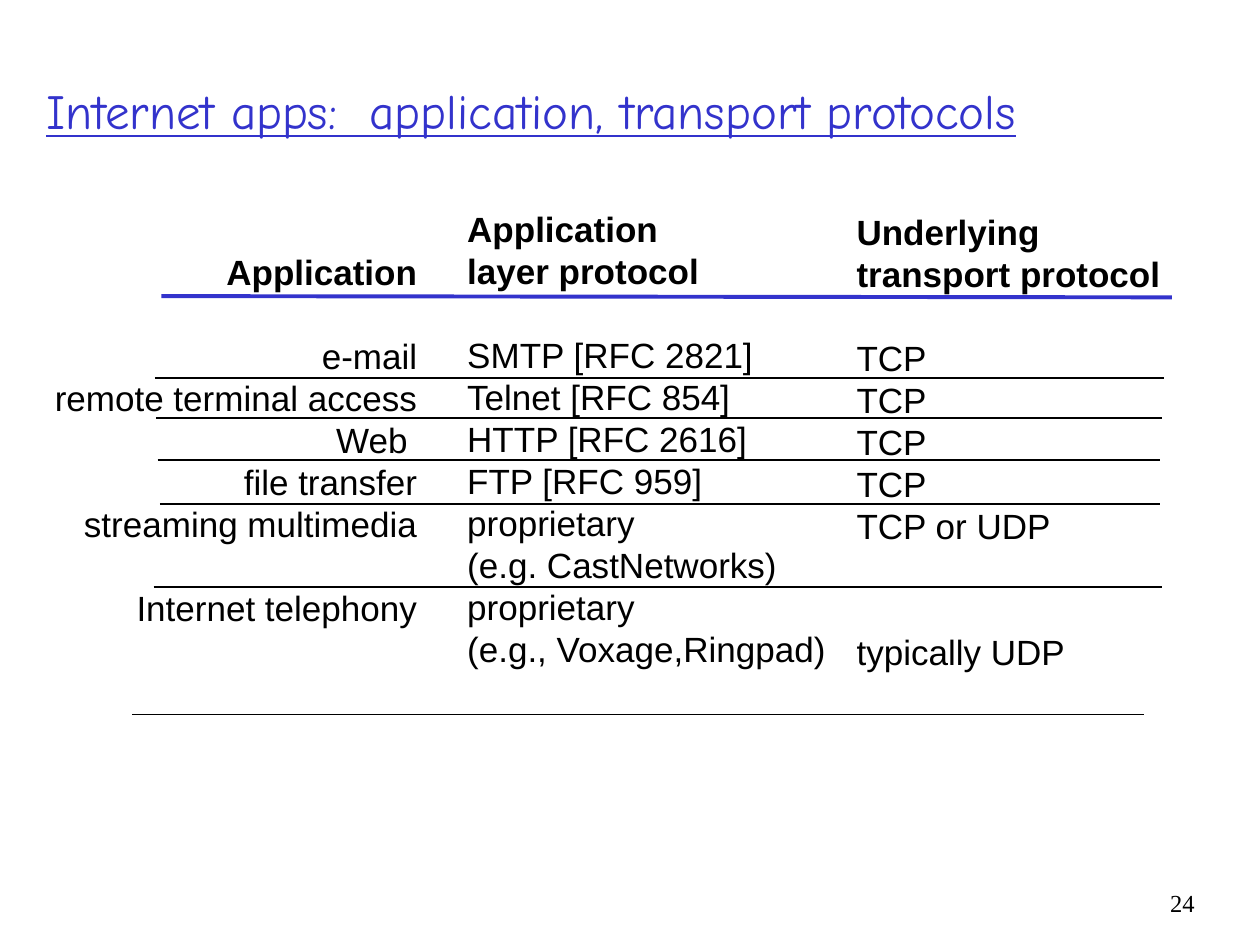
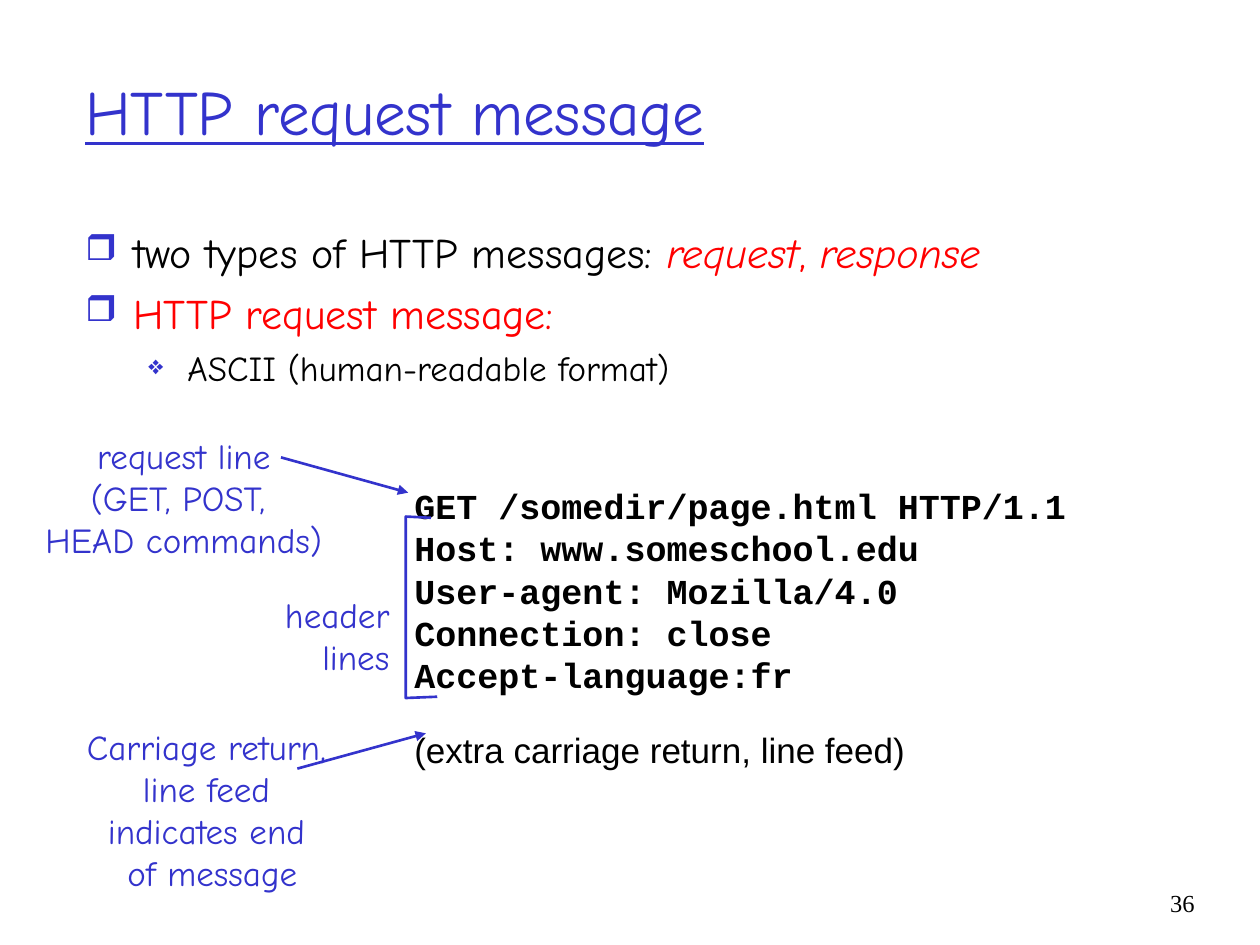
from dataclasses import dataclass
from lxml.etree import SubElement
from pptx import Presentation
from pptx.dml.color import RGBColor
from pptx.enum.shapes import MSO_CONNECTOR
from pptx.enum.text import MSO_ANCHOR, PP_ALIGN
from pptx.oxml.ns import qn
from pptx.util import Inches, Pt


@dataclass(frozen=True)
class Theme:
    blue: str = "3333CC"
    red: str = "FF0000"
    black: str = "000000"
    hand: str = "Comic Neue"
    sans: str = "Arial"
    code: str = "Courier New"
    serif: str = "Times New Roman"
    title: int = 36
    long_title: int = 28
    body: int = 24
    text: int = 20
    number: int = 14
    leading: float = 1.2
    thick: float = 2.25
    arrow: float = 1.5
    thin: float = 1


THEME = Theme()


def style(name, size, color=THEME.black, **extra):
    return {"name": name, "size": size, "color": color, **extra}


CELL = style(THEME.sans, THEME.text)
HEADING = {**CELL, "bold": True}
CODE = style(THEME.code, THEME.text, bold=True)
LABEL = style(THEME.hand, THEME.text, THEME.blue)
BODY = style(THEME.hand, THEME.body)
BODY_RED = {**BODY, "color": THEME.red}
BODY_ITALIC = {**BODY_RED, "italic": True}
SUB_BODY = {**BODY, "size": THEME.text}
NUMBER = style(THEME.serif, THEME.number)

BULLETS = [
    {"char": "❒", "scale": 85, "margin": 0.38, "hang": 0.38, "before": 6},
    {"char": "❖", "scale": 75, "margin": 0.81, "hang": 0.31, "before": 5},
]


def add_run(paragraph, text, run_style):
    run = paragraph.add_run()
    run.text = text
    for key, value in run_style.items():
        if key == "color":
            run.font.color.rgb = RGBColor.from_string(value)
        else:
            setattr(run.font, key, Pt(value) if key == "size" else value)


def add_bullet(paragraph, level):
    bullet = BULLETS[level]
    paragraph.level = level
    properties = paragraph._p.get_or_add_pPr()
    properties.set("marL", str(Inches(bullet["margin"])))
    properties.set("indent", str(-Inches(bullet["hang"])))
    color = SubElement(properties, qn("a:buClr"))
    SubElement(color, qn("a:srgbClr"), val=THEME.blue)
    SubElement(properties, qn("a:buSzPct"), val=str(bullet["scale"] * 1000))
    SubElement(properties, qn("a:buChar"), char=bullet["char"])


def add_text(slide, box, lines, align=PP_ALIGN.LEFT, anchor=MSO_ANCHOR.TOP):
    frame = slide.shapes.add_textbox(*map(Inches, box)).text_frame
    frame.word_wrap = True
    frame.vertical_anchor = anchor
    for index, line in enumerate(lines):
        paragraph = frame.paragraphs[0] if index == 0 else frame.add_paragraph()
        if "level" in line:
            add_bullet(paragraph, line["level"])
        paragraph.alignment = align
        paragraph.line_spacing = Pt(line["runs"][0][1]["size"] * THEME.leading)
        if index and line.get("before"):
            paragraph.space_before = Pt(line["before"])
        for text, run_style in line["runs"]:
            add_run(paragraph, text, run_style)


def plain(text, run_style, before=0):
    return {"runs": [(text, run_style)], "before": before}


def item(level, *runs):
    return {"runs": runs, "level": level, "before": BULLETS[level]["before"]}


def add_line(slide, start, end, color, width, arrow=False):
    connector = slide.shapes.add_connector(
        MSO_CONNECTOR.STRAIGHT, *map(Inches, (*start, *end)))
    connector.line.color.rgb = RGBColor.from_string(color)
    connector.line.width = Pt(width)
    if arrow:
        SubElement(connector.line._get_or_add_ln(), qn("a:tailEnd"), type="triangle")
    SubElement(connector._element.spPr, qn("a:effectLst"))


def add_bracket(slide, points):
    first, *others = [tuple(map(Inches, point)) for point in points]
    builder = slide.shapes.build_freeform(*first)
    builder.add_line_segments(others, close=False)
    shape = builder.convert_to_shape()
    shape.shadow.inherit = False
    shape.fill.background()
    shape.line.color.rgb = RGBColor.from_string(THEME.blue)
    shape.line.width = Pt(THEME.arrow)


def add_column(slide, box, headings, cells, align=PP_ALIGN.LEFT):
    lines = [plain(text, HEADING) for text in headings]
    pitch = THEME.text * THEME.leading
    lines += [plain(text, CELL, skipped * pitch) for text, skipped in cells]
    add_text(slide, box, lines, align)


def add_label(slide, box, texts, align=PP_ALIGN.CENTER):
    add_text(slide, box, [plain(text, LABEL) for text in texts], align)


def start_slide(presentation, title, left, width, size, number):
    slide = presentation.slides.add_slide(presentation.slide_layouts[6])
    add_text(slide, (9.08, 7, 0.5, 0.5), [plain(number, NUMBER)], PP_ALIGN.RIGHT)
    title_style = style(THEME.hand, size, THEME.blue, underline=True)
    add_text(slide, (left, 0.25, width, 1.25), [plain(title, title_style)],
             anchor=MSO_ANCHOR.MIDDLE)
    return slide


def build_protocols(presentation):
    slide = start_slide(presentation, "Internet apps:  application, transport protocols",
                        0.27, 9.57, THEME.long_title, "24")
    add_column(slide, (0.24, 1.94, 3.17, 3.44), ["Application"], [
        ("e-mail", 1), ("remote terminal access", 0), ("Web ", 0),
        ("file transfer", 0), ("streaming multimedia", 0),
        ("Internet telephony", 1)], PP_ALIGN.RIGHT)
    add_column(slide, (3.61, 1.6, 3.2, 3.77), ["Application", "layer protocol"], [
        ("SMTP [RFC 2821]", 1), ("Telnet [RFC 854]", 0), ("HTTP [RFC 2616]", 0),
        ("FTP [RFC 959]", 0), ("proprietary", 0), ("(e.g. CastNetworks)", 0),
        ("proprietary", 0), ("(e.g., Voxage,Ringpad)", 0)])
    add_column(slide, (6.7, 1.62, 2.87, 3.77), ["Underlying", "transport protocol"], [
        ("TCP", 1), ("TCP", 0), ("TCP", 0), ("TCP", 0), ("TCP or UDP", 0),
        ("typically UDP", 2)])
    add_line(slide, (1.28, 2.35), (9.3, 2.36), THEME.blue, THEME.thick)
    row_rules = [(1.23, 9.24, 3), (1.24, 9.22, 3.32), (1.25, 9.21, 3.65),
                 (1.27, 9.21, 4), (1.22, 9.22, 4.66), (1.05, 9.08, 5.67)]
    for left, right, top in row_rules:
        add_line(slide, (left, top), (right, top), THEME.black, THEME.thin)


def build_request(presentation):
    slide = start_slide(presentation, "HTTP request message",
                        0.58, 8.5, THEME.title, "36")
    add_text(slide, (0.58, 1.75, 8.5, 5.08), [
        item(0, ("two types of HTTP messages: ", BODY), ("request", BODY_ITALIC),
             (", ", BODY_RED), ("response", BODY_ITALIC)),
        item(0, ("HTTP request message:", BODY_RED)),
        item(1, ("ASCII (human-readable format)", SUB_BODY))])
    request = ["GET /somedir/page.html HTTP/1.1", "Host: www.someschool.edu",
               "User-agent: Mozilla/4.0", "Connection: close", "Accept-language:fr"]
    add_text(slide, (3.19, 3.8, 5.6, 2.4),
             [plain(text, CODE) for text in request]
             + [plain("(extra carriage return, line feed)", CELL, 19)])
    add_label(slide, (0.16, 3.4, 2.6, 1.1),
              ["request line", "(GET, POST, ", "HEAD commands)"])
    add_line(slide, (2.23, 3.63), (3.24, 3.91), THEME.blue, THEME.arrow, arrow=True)
    add_bracket(slide, [(3.42, 4.11), (3.22, 4.1), (3.22, 5.54), (3.47, 5.53)])
    add_label(slide, (2.06, 4.66, 1.13, 0.77), ["header", "lines"], PP_ALIGN.RIGHT)
    add_line(slide, (2.36, 6.1), (3.38, 5.82), THEME.blue, THEME.arrow, arrow=True)
    add_label(slide, (0.49, 5.71, 2.39, 1.44),
              ["Carriage return, ", "line feed ", "indicates end ", "of message"])


def main():
    presentation = Presentation()
    presentation.slide_width = Inches(10)
    presentation.slide_height = Inches(7.5)
    build_protocols(presentation)
    build_request(presentation)
    presentation.save("out.pptx")


if __name__ == "__main__":
    main()
